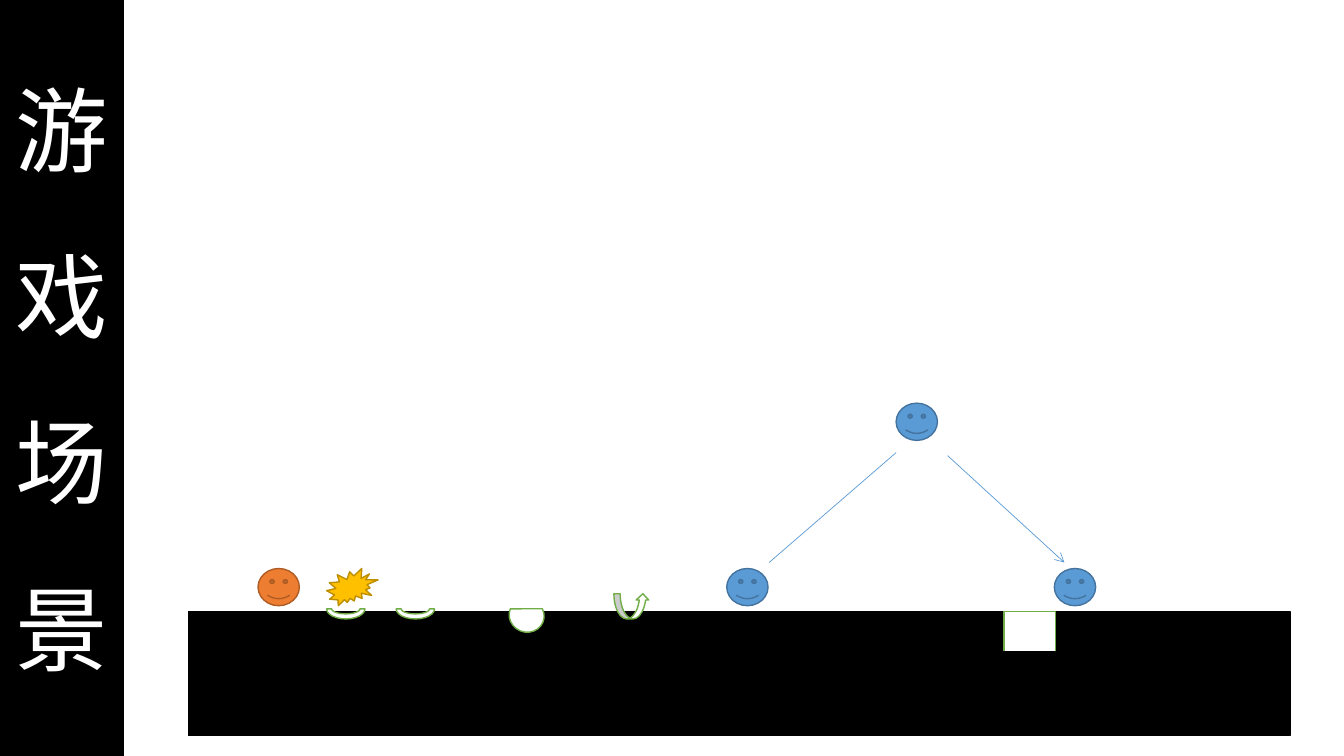
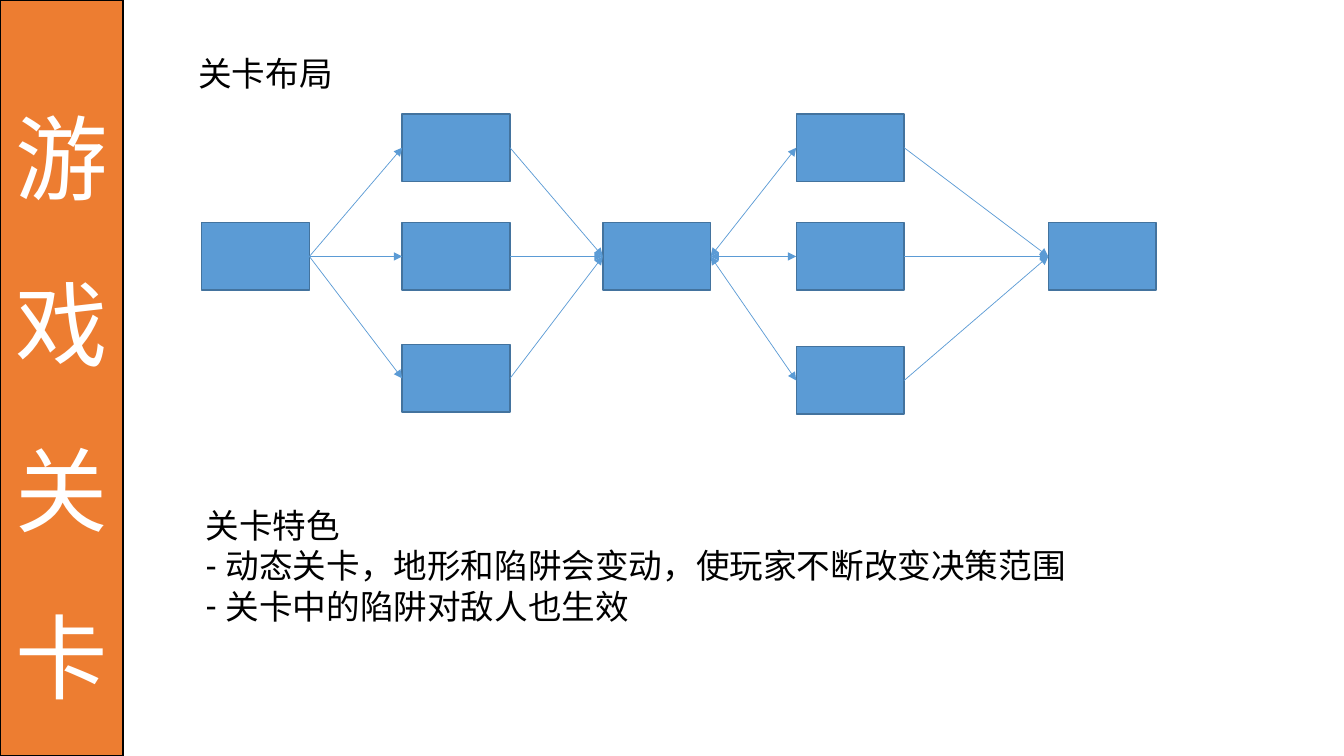
"""Builds two game design slides: the scene and the level layout."""
import pptx
import pptx.util
import pptx.dml.color
import pptx.enum.shapes
import pptx.enum.text
import pptx.oxml
import pptx.oxml.ns
import lxml.etree

Pt = pptx.util.Pt
qn = pptx.oxml.ns.qn
MSO = pptx.enum.shapes.MSO_SHAPE
FONT = "Noto Sans CJK SC"
BLACK, WHITE, ORANGE = "000000", "FFFFFF", "ED7D31"
BLUE, BLUE_EDGE, GREEN = "5B9BD5", "43739E", "70AD47"

STYLES = {
    "ground": (BLACK, BLACK),
    "trap": (WHITE, GREEN),
    "player": (ORANGE, "AF5C24"),
    "enemy": (BLUE, BLUE_EDGE),
    "blast": ("FFC000", "BD8E00"),
    "room": (BLUE, BLUE_EDGE),
}
BAND = (0, 0, 87.8, 540)
FACE = (29.5, 26.6)
ARC = (27.4, 14.4)
FLOOR = 437
FACE_TOP = 406.1

SCENE_TITLE = "游戏场景"
SCENE = [
    (MSO.RECTANGLE, "ground", (134.6, FLOOR, 787, 28.8), 0),
    (MSO.BLOCK_ARC, "trap", (233.3, 427.7, *ARC), 180),
    (MSO.BLOCK_ARC, "trap", (283, 427.7, *ARC), 180),
    (MSO.SMILEY_FACE, "player", (184.3, FACE_TOP, *FACE), 0),
    (MSO.SMILEY_FACE, "enemy", (519.1, FACE_TOP, *FACE), 0),
    (MSO.CHORD, "trap", (364.3, 427, 23.8, 25.2), 292),
    (MSO.EXPLOSION2, "blast", (233.3, FACE_TOP, 36.7, 26.6), 0),
    (MSO.CURVED_UP_ARROW, "trap", (438.5, 424.1, 25.2, 18), 0),
    (MSO.SMILEY_FACE, "enemy", (640.1, 288, *FACE), 0),
    (MSO.SMILEY_FACE, "enemy", (753.1, FACE_TOP, *FACE), 0),
    (MSO.RECTANGLE, "trap", (717.1, FLOOR, 36.7, 28.8), 0),
    (MSO.RECTANGLE, "ground", (134.6, 465.8, 787, 59.8), 0),
]
JUMP = [
    ((549.4, 401.8, 640.1, 323.3), {}),
    ((676.8, 325.4, 760.3, 401.8), {"tailEnd": "arrow"}),
]

LEVEL_TITLE = "游戏关卡"
LAYOUT_HEADING = "关卡布局"
FEATURE_HEADING = "关卡特色"
FEATURES = ["动态关卡，地形和陷阱会变动，使玩家不断改变决策范围", "关卡中的陷阱对敌人也生效"]
ROOM = (77, 48.2)
TOP, MIDDLE = 81.4, 159.1
ROOM_COLUMNS = [
    (144, [MIDDLE]),
    (287.3, [TOP, MIDDLE, 246.2]),
    (430.6, [MIDDLE]),
    (568.8, [TOP, MIDDLE, 247.7]),
    (748.8, [MIDDLE]),
]
ONE_WAY = {"tailEnd": "triangle"}
BOTH_WAYS = {"headEnd": "triangle", "tailEnd": "triangle"}
COLUMN_ARROWS = [ONE_WAY, ONE_WAY, BOTH_WAYS, ONE_WAY]


def rgb(value):
    return pptx.dml.color.RGBColor.from_string(value)


def set_all(obj, **values):
    for name, value in values.items():
        setattr(obj, name, value)


def place(sp, box):
    for name, value in zip(("left", "top", "width", "height"), box):
        setattr(sp, name, Pt(value))


def paint(sp, fill, edge):
    sp.fill.solid()
    sp.fill.fore_color.rgb = rgb(fill)
    sp.line.color.rgb = rgb(edge)
    sp.line.width = Pt(1)


def write(p, text, size, color):
    r = p.add_run()
    r.text = text
    set_all(r.font, size=Pt(size), name=FONT)
    r.font.color.rgb = rgb(color)
    lxml.etree.SubElement(r.font._element, qn("a:ea")).set("typeface", FONT)


def add_figure(s, kind, style, box, rotation=0):
    sp = s.shapes.add_shape(kind, *map(Pt, box))
    sp.shadow.inherit = False
    sp.rotation = rotation
    paint(sp, *STYLES[style])
    return sp


def add_line(s, ends, heads):
    line = s.shapes.add_connector(pptx.enum.shapes.MSO_CONNECTOR.STRAIGHT, *map(Pt, ends))
    line.line.color.rgb = rgb(BLUE)
    line.line.width = Pt(0.5)
    ln = line.line._get_or_add_ln()
    for name, kind in heads.items():
        lxml.etree.SubElement(ln, qn("a:" + name)).set("type", kind)
    lxml.etree.SubElement(line._element.spPr, qn("a:effectLst"))
    return line


def add_band_slide(prs, layout, title, fill, bottom_inset):
    s = prs.slides.add_slide(prs.slide_layouts[layout])
    sp = s.shapes.title
    place(sp, BAND)
    geometry = lxml.etree.SubElement(sp._element.spPr, qn("a:prstGeom"), prst="roundRect")
    lxml.etree.SubElement(geometry, qn("a:avLst"))
    paint(sp, fill, BLACK)
    tf = sp.text_frame
    set_all(tf, word_wrap=True, auto_size=pptx.enum.text.MSO_AUTO_SIZE.NONE,
            vertical_anchor=pptx.enum.text.MSO_ANCHOR.MIDDLE,
            margin_top=Pt(0), margin_bottom=Pt(bottom_inset))
    p = tf.paragraphs[0]
    set_all(p, alignment=pptx.enum.text.PP_ALIGN.CENTER, line_spacing=1.5)
    write(p, title, 66, WHITE)
    return s


def set_bullet(p, char):
    pPr = p._p.get_or_add_pPr()
    indent = 14.3 if char else 0
    pPr.set("marL", str(Pt(indent)))
    pPr.set("indent", str(-Pt(indent)))
    if char:
        lxml.etree.SubElement(pPr, qn("a:buChar")).set("char", char)
    else:
        lxml.etree.SubElement(pPr, qn("a:buNone"))


def build_scene(prs):
    s = add_band_slide(prs, 5, SCENE_TITLE, BLACK, 40)
    for figure in SCENE:
        add_figure(s, *figure)
    for ends, heads in JUMP:
        add_line(s, ends, heads)


def build_level(prs):
    s = add_band_slide(prs, 1, LEVEL_TITLE, ORANGE, 0)
    tf = s.shapes.add_textbox(Pt(134.6), Pt(34.6), Pt(774), Pt(36)).text_frame
    tf.word_wrap = True
    write(tf.paragraphs[0], LAYOUT_HEADING, 24, BLACK)

    columns = [[add_figure(s, MSO.RECTANGLE, "room", (x, y, *ROOM)) for y in tops]
               for x, tops in ROOM_COLUMNS]
    for sources, targets, heads in zip(columns, columns[1:], COLUMN_ARROWS):
        for source in sources:
            for target in targets:
                line = add_line(s, (0, 0, 0, 0), heads)
                line.begin_connect(source, 3)
                line.end_connect(target, 1)

    body = s.placeholders[1]
    place(body, (139.7, 357.1, 774, 94.3))
    tf = body.text_frame
    set_all(tf, word_wrap=True, auto_size=pptx.enum.text.MSO_AUTO_SIZE.NONE)
    for i, text in enumerate([FEATURE_HEADING] + FEATURES):
        p = tf.add_paragraph() if i else tf.paragraphs[0]
        p.space_before = Pt(0)
        set_bullet(p, "-" if i else None)
        write(p, text, 24, BLACK)


def main():
    prs = pptx.Presentation()
    set_all(prs, slide_width=Pt(960), slide_height=Pt(540))
    build_scene(prs)
    build_level(prs)
    prs.save("out.pptx")


if __name__ == "__main__":
    main()
